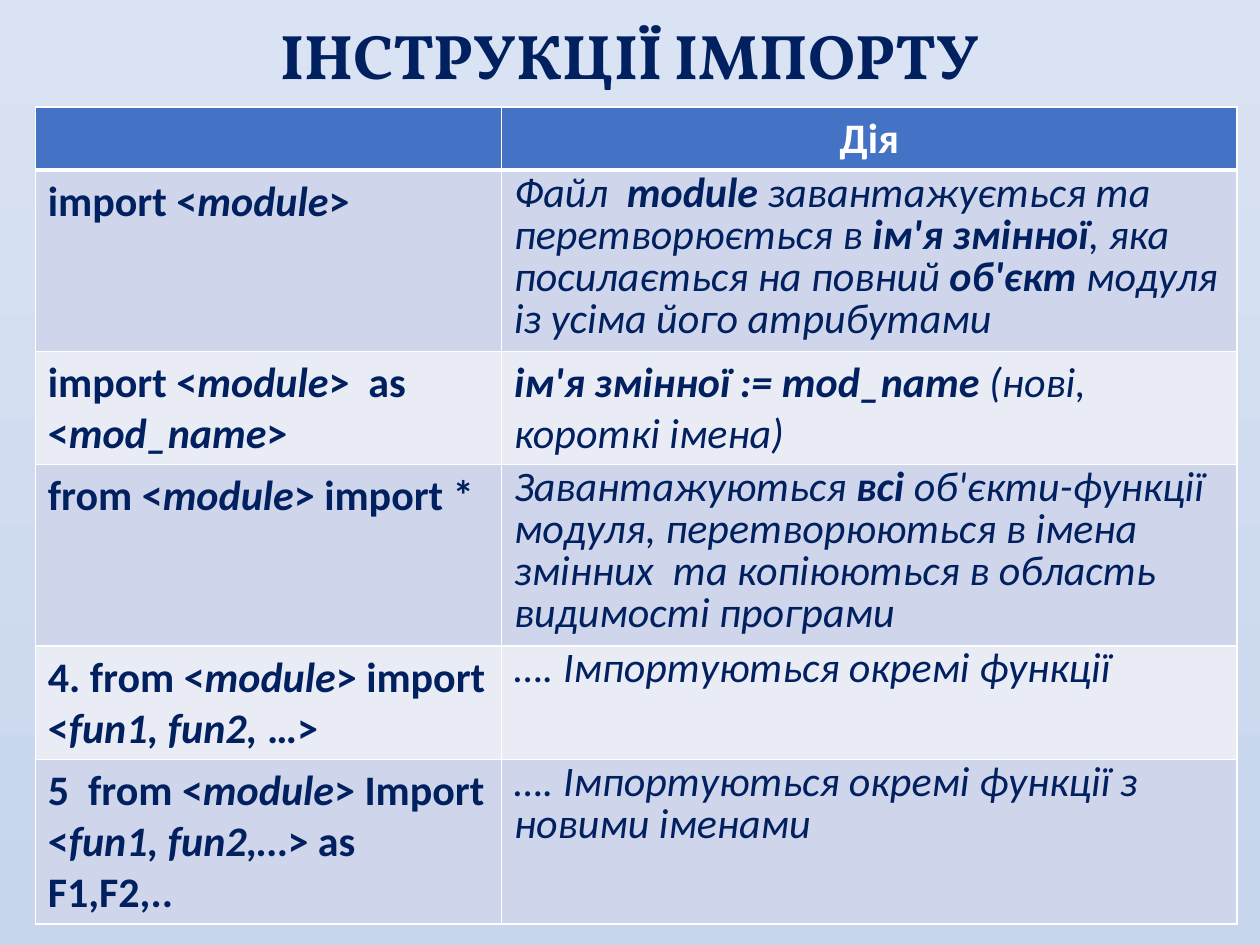
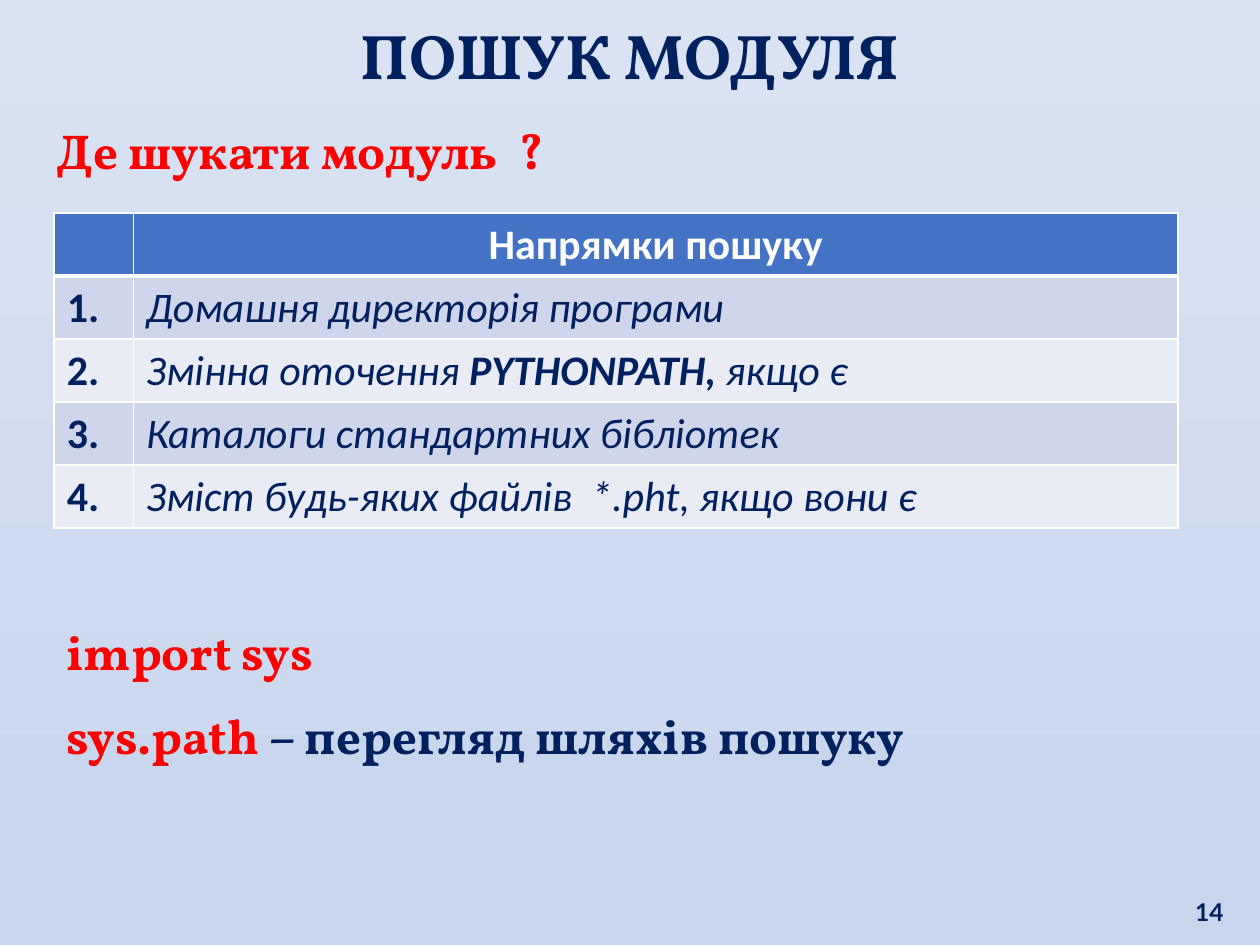
from lxml.etree import SubElement
from pptx import Presentation
from pptx.dml.color import RGBColor as Rgb
from pptx.enum.text import MSO_ANCHOR as Anchor, MSO_AUTO_SIZE as AutoSize, PP_ALIGN as Align
from pptx.oxml import parse_xml
from pptx.oxml.ns import nsdecls, qn
from pptx.util import Pt

COLORS = {
    "navy": "002060",
    "red": "FF0000",
    "white": "FFFFFF",
    "header": "4472C4",
    "band_dark": "CFD5EA",
    "band_light": "E9EBF5",
    "sky_top": "DAE3F3",
    "sky_bottom": "C7D5ED",
}
HEADING_FONT, TABLE_FONT, NUMBER_FONT = "Vollkorn", "Calibri", "Lato"
TIGHT = 24  # exact line pitch of the long table cells


def rgb(name):
    return Rgb.from_string(COLORS[name])


class SlideBuilder:
    """Holds the deck style and the slide being filled."""

    def __init__(self, deck):
        self.deck = deck
        self.page = None
        # Gradient background, shared through the master
        fill = deck.slide_master.background.fill
        fill.gradient()
        fill.gradient_angle = 270
        for stop, name in zip(fill.gradient_stops, ("sky_top", "sky_bottom")):
            stop.color.rgb = rgb(name)

    def set_text(self, para, spans, family, size, align=Align.LEFT):
        """Fill a paragraph with (text, colour, bold, italic) spans."""
        para.alignment = align
        para.font.name = family
        para.font.size = Pt(size)
        for text, color, bold, italic in spans:
            span = para.add_run()
            span.text = text
            span.font.color.rgb = rgb(color)
            span.font.bold = bold
            span.font.italic = italic

    def start(self, title):
        self.page = self.deck.slides.add_slide(self.deck.slide_layouts[5])
        box = self.page.shapes.title
        box.left, box.top, box.width, box.height = Pt(8.64), Pt(5.76), Pt(702.72), Pt(51.12)
        frame = box.text_frame
        frame.word_wrap = True
        frame.auto_size = AutoSize.SHAPE_TO_FIT_TEXT
        frame.vertical_anchor = Anchor.TOP
        self.set_text(frame.paragraphs[0], [(title, "navy", True, False)],
                      HEADING_FONT, 36, Align.CENTER)

    def text_box(self, left, top, width, height):
        box = self.page.shapes.add_textbox(Pt(left), Pt(top), Pt(width), Pt(height))
        box.text_frame.word_wrap = True
        return box.text_frame

    def page_number(self, number):
        frame = self.text_box(671.76, 496.8, 34.56, 36)
        frame.vertical_anchor = Anchor.BOTTOM
        self.set_text(frame.paragraphs[0], [(number, "navy", True, False)],
                      NUMBER_FONT, 14, Align.RIGHT)

    def statements(self, left, top, height, lines):
        """Large lines; each is a list of (text, colour) pieces."""
        frame = self.text_box(left, top, 686.16, height)
        frame.auto_size = AutoSize.SHAPE_TO_FIT_TEXT
        for index, pieces in enumerate(lines):
            para = frame.add_paragraph() if index else frame.paragraphs[0]
            para.line_spacing = Pt(30)
            para.space_before = Pt(18)
            spans = [(text, color, True, False) for text, color in pieces]
            self.set_text(para, spans, HEADING_FONT, 28)

    def borders(self, cell, row):
        """White rules, with a thick one under the header."""
        props = cell._tc.get_or_add_tcPr()
        widths = {"L": 1, "R": 1, "T": 3 if row == 1 else 1, "B": 3 if row == 0 else 1}
        for index, (side, width) in enumerate(widths.items()):
            line = parse_xml(f'<a:ln{side} {nsdecls("a")} w="{Pt(width)}"/>')
            fill = SubElement(line, qn("a:solidFill"))
            SubElement(fill, qn("a:srgbClr"), val=COLORS["white"])
            props.insert(index, line)

    def table(self, left, top, widths, heights, heading, rows):
        """Rows are (left text, right text, line pitch); "|" toggles emphasis:
        italic in the bold left column, bold in the italic right one."""
        grid = self.page.shapes.add_table(
            len(heights), len(widths), Pt(left), Pt(top),
            Pt(sum(widths)), Pt(sum(heights))).table
        for column, width in zip(grid.columns, widths):
            column.width = Pt(width)
        for row, height in enumerate(heights):
            grid.rows[row].height = Pt(height)
            band = "header" if row == 0 else ("band_light", "band_dark")[row % 2]
            for cell in grid.rows[row].cells:
                cell.fill.solid()
                cell.fill.fore_color.rgb = rgb(band)
                self.borders(cell, row)

        self.set_text(grid.cell(0, 1).text_frame.paragraphs[0],
                      [(heading, "white", True, False)], TABLE_FONT, 24, Align.CENTER)
        for row, (label, meaning, pitch) in enumerate(rows, 1):
            for column, marked in enumerate((label, meaning)):
                para = grid.cell(row, column).text_frame.paragraphs[0]
                spans = []
                for index, text in enumerate(marked.split("|")):
                    emphasised = index % 2 == 1
                    bold = column == 0 or emphasised
                    italic = column == 1 or emphasised
                    if text:
                        spans.append((text, "navy", bold, italic))
                if column == 1 and pitch:
                    para.line_spacing = Pt(pitch)
                self.set_text(para, spans, TABLE_FONT, 24)


def main():
    deck = Presentation()
    deck.slide_width, deck.slide_height = Pt(720), Pt(540)
    builder = SlideBuilder(deck)

    # Import statements
    builder.start("ІНСТРУКЦІЇ ІМПОРТУ")
    builder.table(
        20.16, 61.2, (266.4, 420.48), (36, 103.5, 64.5, 103.5, 64.5, 94), "Дія",
        [
            ("import <|module|>",
             "Файл  |module| завантажується та перетворюється в |ім'я змінної|, "
             "яка посилається на повний |об'єкт| модуля із усіма його атрибутами", TIGHT),
            ("import <|module|>  as  <|mod_name|>",
             "|ім'я змінної := mod_name |(нові, короткі імена)", None),
            ("from <|module|> import *",
             "Завантажуються |всі| об'єкти-функції модуля, перетворюються в імена "
             "змінних  та копіюються в область видимості програми", TIGHT),
            ("4. from <|module|> import <|fun1, fun2,| …>",
             "…. Імпортуються окремі функції", TIGHT),
            ("5  from <|module|> Import <|fun1, fun2,…|> as F1,F2,..",
             "…. Імпортуються окремі функції з новими іменами", TIGHT),
        ])

    # Module search
    builder.start("ПОШУК МОДУЛЯ")
    builder.page_number("14")
    places = (
        "Домашня директорія програми",
        "Змінна оточення |PYTHONPATH, |якщо є",
        "Каталоги стандартних бібліотек",
        "Зміст будь-яких файлів  *.pht, якщо вони є",
    )
    builder.table(
        30.96, 121.68, (45.36, 596.88), [36] * 5, "Напрямки пошуку",
        [(f"{number}.", place, None) for number, place in enumerate(places, 1)])
    builder.statements(25.2, 69.12, 37.44, [[("Де шукати модуль  ?", "red")]])
    builder.statements(30.96, 354.96, 85.68, [
        [("import sys", "red")],
        [("sys.path", "red"), (" – перегляд шляхів пошуку", "navy")],
    ])

    deck.save("out.pptx")


if __name__ == "__main__":
    main()
